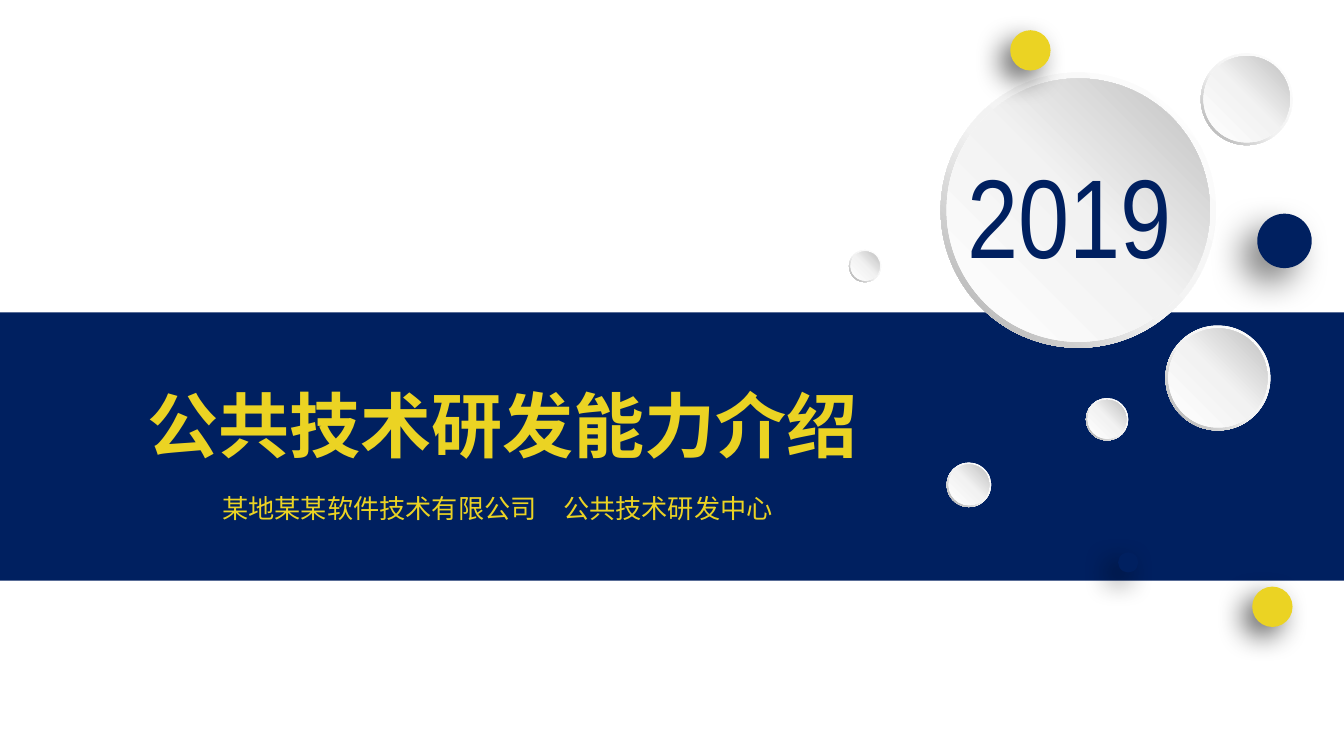
from lxml import etree
from pptx import Presentation
from pptx.dml.color import RGBColor
from pptx.enum import shapes, text
from pptx.oxml import ns
from pptx.util import Inches, Pt

COLORS = {"navy": "002060", "yellow": "EBD323", "shadow": "000000"}
RIM_STOPS = [(0, "FFFFFF"), (55, "F2F2F2"), (100, "A6A6A6")]
FACE_STOPS = [(0, "FFFFFF"), (51, "F2F2F2"), (100, "BFBFBF")]
CJK_FONT = "Noto Sans CJK SC"

# left, top, diameter
BUBBLES = [
    (9.33, 0.72, 2.73),
    (9.39, 4.59, 0.44),
    (11.91, 0.53, 0.91),
    (10.77, 3.95, 0.42),
    (11.56, 3.23, 1.04),
    (8.42, 2.48, 0.32),
]
# left, top, diameter, colour, shadow opacity, blur, distance
DOTS = [
    (12.47, 2.12, 0.54, "navy", 50, 25, 15),
    (10.02, 0.3, 0.4, "yellow", 60, 20, 10),
    (12.42, 5.82, 0.4, "yellow", 60, 20, 10),
    (11.09, 5.48, 0.2, "navy", 60, 20, 10),
]


def add_child(parent, tag, **attributes):
    child = etree.SubElement(parent, ns.qn(tag))
    for name, value in attributes.items():
        child.set(name, str(value))
    return child


def add_plain_shape(owner, kind, left, top, width, height, color=None):
    """Add a shape without outline or shadow, filled when a colour is named."""
    shape = owner.shapes.add_shape(
        kind, Inches(left), Inches(top), Inches(width), Inches(height))
    shape.shadow.inherit = False
    shape.line.fill.background()
    if color:
        shape.fill.solid()
        shape.fill.fore_color.rgb = RGBColor.from_string(COLORS[color])
    return shape


def fill_gradient(shape, stops, angle):
    """Fill with any number of stops; the angle runs counter-clockwise."""
    shape.fill.gradient()
    shape.fill.gradient_angle = angle
    stop_list = shape._element.spPr.find(".//" + ns.qn("a:gsLst"))
    stop_list.clear()
    for position, color in stops:
        stop = add_child(stop_list, "a:gs", pos=position * 1000)
        add_child(stop, "a:srgbClr", val=color)


def add_bubble(page, left, top, size):
    """Group a shaded rim with the lighter disc inside it."""
    group = page.shapes.add_group_shape()
    rim = add_plain_shape(group, shapes.MSO_SHAPE.DONUT, left, top, size, size)
    rim.adjustments[0] = 0.049
    fill_gradient(rim, RIM_STOPS, 225)
    inset = 0.01 + 0.018 * size
    face_size = size - 2 * inset
    face = add_plain_shape(group, shapes.MSO_SHAPE.OVAL,
                           left + inset, top + inset, face_size, face_size)
    fill_gradient(face, FACE_STOPS, 45)


def add_dot(page, left, top, size, color, opacity, blur, distance):
    """Add a flat disc that throws a soft shadow to the lower left."""
    dot = add_plain_shape(page, shapes.MSO_SHAPE.OVAL, left, top, size, size, color)
    effects = dot._element.spPr.find(ns.qn("a:effectLst"))
    shadow = add_child(effects, "a:outerShdw", blurRad=Pt(blur), dist=Pt(distance),
                       dir=135 * 60000, algn="ctr", rotWithShape=0)
    tint = add_child(shadow, "a:srgbClr", val=COLORS["shadow"])
    add_child(tint, "a:alpha", val=opacity * 1000)


def write_text(box, words, font, size, color, bold=False, wrap=True,
               align=text.PP_ALIGN.CENTER):
    frame = box.text_frame
    frame.word_wrap = wrap
    frame.auto_size = text.MSO_AUTO_SIZE.NONE
    frame.vertical_anchor = text.MSO_ANCHOR.MIDDLE
    para = frame.paragraphs[0]
    para.alignment = align
    para.space_before = Pt(0)
    span = para.add_run()
    span.text = words
    span.font.name = font
    span.font.size = Pt(size)
    span.font.bold = bold
    span.font.color.rgb = RGBColor.from_string(COLORS[color])
    add_child(span.font._element, "a:ea", typeface=font)


def place_in_front(page, box, left, top, width, height):
    """Move a placeholder and bring it above the shapes drawn so far."""
    box.left, box.top = Inches(left), Inches(top)
    box.width, box.height = Inches(width), Inches(height)
    page.shapes._spTree.append(box._element)


def main():
    deck = Presentation()
    deck.slide_width, deck.slide_height = Inches(13.33), Inches(7.5)
    page = deck.slides.add_slide(deck.slide_layouts[0])
    title, subtitle = page.shapes.title, page.placeholders[1]

    add_plain_shape(page, shapes.MSO_SHAPE.RECTANGLE, 0, 3.1, 13.33, 2.66, "navy")
    for bubble in BUBBLES:
        add_bubble(page, *bubble)
    for dot in DOTS:
        add_dot(page, *dot)

    place_in_front(page, title, 0.16, 3.73, 9.65, 0.95)
    write_text(title, "公共技术研发能力介绍", CJK_FONT, 50.7, "yellow", bold=True)
    place_in_front(page, subtitle, 1.68, 4.83, 6.51, 0.42)
    write_text(subtitle, "某地某某软件技术有限公司　公共技术研发中心",
               CJK_FONT, 18.7, "yellow")
    year = page.shapes.add_textbox(Inches(9.5), Inches(1.39), Inches(2.4), Inches(1.45))
    write_text(year, "2019", "Arial Narrow", 80, "navy", wrap=False,
               align=text.PP_ALIGN.LEFT)

    deck.save("out.pptx")


if __name__ == "__main__":
    main()
